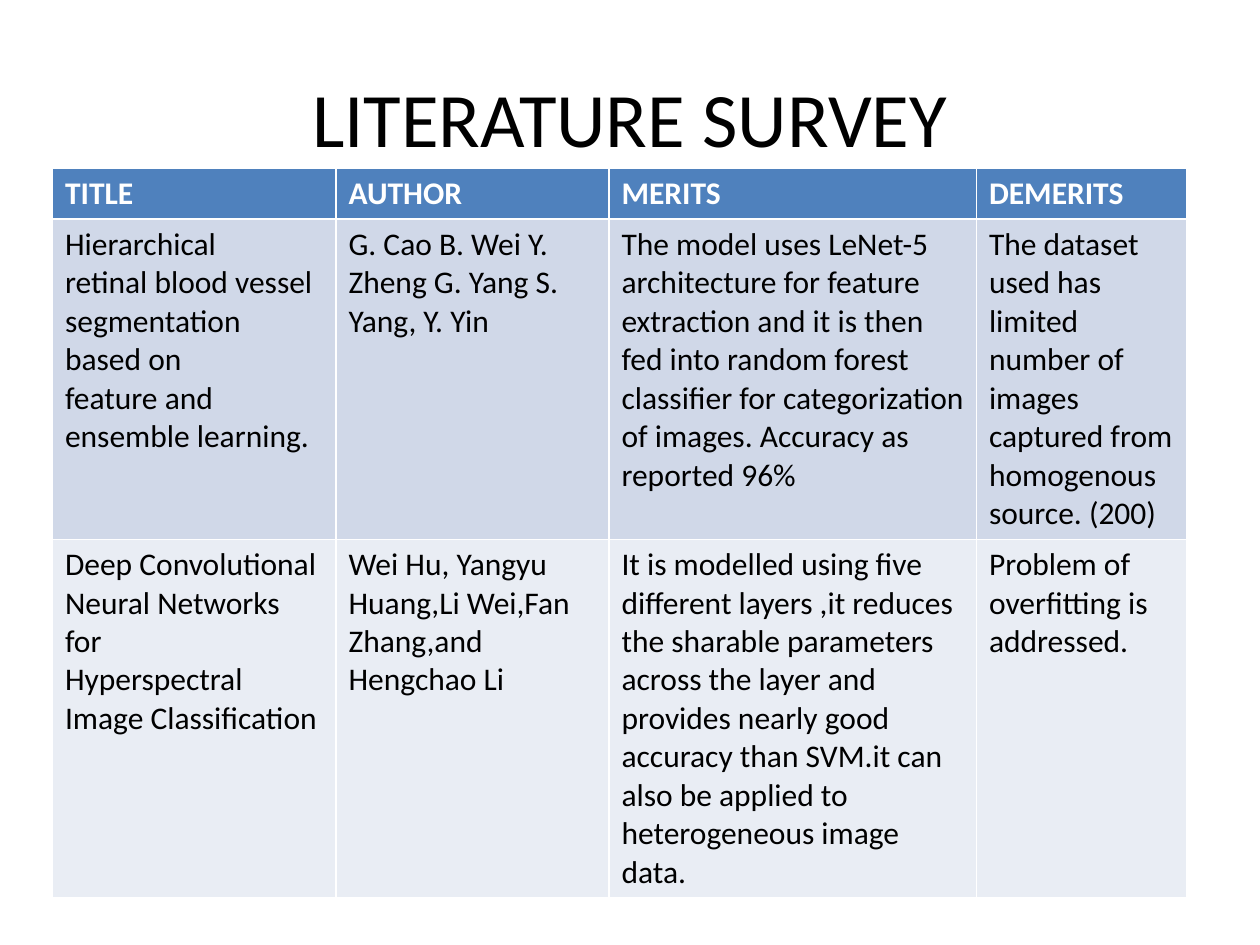
from pptx import Presentation
from pptx.dml.color import RGBColor
from pptx.enum.text import MSO_ANCHOR, PP_ALIGN
from pptx.util import Pt


def color(hex_value):
    return RGBColor.from_string(hex_value)


def write(frame, text, text_color, **font_format):
    frame.text = text
    for para in frame.paragraphs:
        for span in para.runs:
            span.font.color.rgb = color(text_color)
            for name, value in font_format.items():
                setattr(span.font, name, value)


deck = Presentation()
deck.slide_width, deck.slide_height = Pt(720), Pt(540)
page = deck.slides.add_slide(deck.slide_layouts[5])

title = page.shapes.title
title_place = {"left": 36, "top": 21.6, "width": 648, "height": 90}
for name, value in title_place.items():
    setattr(title, name, Pt(value))
write(title.text_frame, "LITERATURE SURVEY", "000000", size=Pt(44), name="Calibri")
title.text_frame.vertical_anchor = MSO_ANCHOR.MIDDLE
title.text_frame.paragraphs[0].alignment = PP_ALIGN.CENTER

survey_rows = [
    ["TITLE", "AUTHOR", "MERITS", "DEMERITS"],
    [
        "Hierarchical\nretinal blood vessel segmentation based on\n"
        "feature and ensemble learning.",
        "G. Cao B. Wei Y. Zheng G. Yang S. Yang, Y. Yin",
        "The model uses LeNet-5 architecture for feature extraction and it is then "
        "fed into random forest classifier for categorization of images. "
        "Accuracy as reported 96%",
        "The dataset used has limited number of images captured from "
        "homogenous source. (200)",
    ],
    [
        "Deep Convolutional Neural Networks for\nHyperspectral Image Classification",
        "Wei Hu, Yangyu Huang,Li Wei,Fan Zhang,and Hengchao Li",
        "It is modelled using five different layers ,it reduces the sharable "
        "parameters across the layer and provides nearly good accuracy than SVM."
        "it can also be applied to heterogeneous image data.",
        "Problem of overfitting is addressed.",
    ],
]
row_styles = [
    ("4F81BD", "FFFFFF", True),
    ("D0D8E8", "000000", False),
    ("E9EDF4", "000000", False),
]
column_widths = [162, 156, 210, 120]

table_frame = page.shapes.add_table(
    len(survey_rows), len(column_widths), Pt(30), Pt(96), Pt(sum(column_widths)), Pt(411)
)
table = table_frame.table
for column, width in zip(table.columns, column_widths):
    column.width = Pt(width)

for row, texts, (fill, text_color, bold) in zip(table.rows, survey_rows, row_styles):
    row.height = Pt(29.2)
    for cell, text in zip(row.cells, texts):
        cell.fill.solid()
        cell.fill.fore_color.rgb = color(fill)
        write(cell.text_frame, text, text_color, size=Pt(18), name="Calibri", bold=bold)
table_frame.height = Pt(411)

deck.save("out.pptx")
